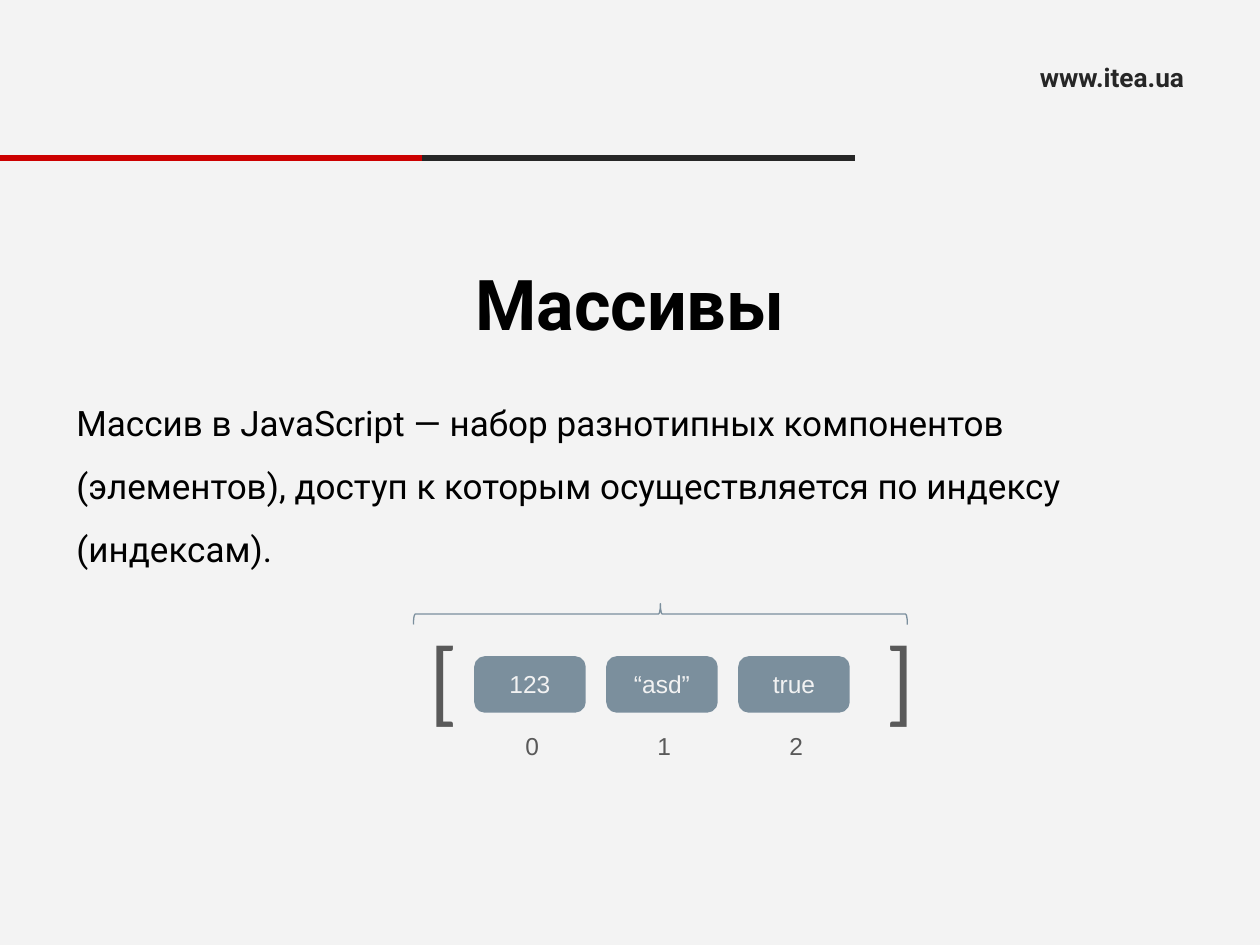
from pptx import Presentation
from pptx.dml.color import RGBColor
from pptx.enum.shapes import MSO_SHAPE as SHAPE
from pptx.enum.text import MSO_ANCHOR as ANCHOR, MSO_AUTO_SIZE as FIT, PP_ALIGN as ALIGN
from pptx.util import Emu, Pt

PX = 914400 // 126
COLORS = {
    "page": "F3F3F3", "black": "000000", "dark": "262626", "red": "CC0000",
    "steel": "7B8F9D", "light": "F2F2F2", "gray": "595959",
}


def color(name):
    return RGBColor.from_string(COLORS[name])


def px(*lengths):
    return [Emu(n * PX) for n in lengths]


class SlideBuilder:
    def __init__(self, slide):
        self.slide = slide

    def style(self, sp, text, size, font, fill, bold=False, align=ALIGN.CENTER):
        tf = sp.text_frame
        tf.text = text
        tf.word_wrap = True
        p = tf.paragraphs[0]
        p.alignment = align
        r = p.runs[0]
        r.font.size, r.font.name, r.font.bold = Pt(size), font, bold
        r.font.color.rgb = color(fill)
        return p

    def title(self, text, *box):
        sp = self.slide.shapes.title
        sp.left, sp.top, sp.width, sp.height = px(*box)
        sp.text_frame.vertical_anchor = ANCHOR.MIDDLE
        self.style(sp, text, 40, "Roboto", "black", bold=True)

    def shape(self, kind, *box, fill=None, line=None, weight=1, parent=None):
        sp = (parent or self.slide).shapes.add_shape(kind, *px(*box))
        sp.shadow.inherit = False
        if fill:
            sp.fill.solid()
            sp.fill.fore_color.rgb = color(fill)
        else:
            sp.fill.background()
        if line:
            sp.line.color.rgb = color(line)
            sp.line.width = Pt(weight)
        else:
            sp.line.fill.background()
        return sp

    def text(self, text, *box, size=14, font="Arial", fill="gray",
             align=ALIGN.CENTER, fit=FIT.SHAPE_TO_FIT_TEXT, parent=None):
        sp = (parent or self.slide).shapes.add_textbox(*px(*box))
        p = self.style(sp, text, size, font, fill, align=align)
        sp.text_frame.auto_size = fit
        return p

    def cell(self, text, x, y):
        group = self.slide.shapes.add_group_shape()
        self.shape(SHAPE.ROUNDED_RECTANGLE, x, y, 108, 53, fill="steel",
                   line="steel", weight=2, parent=group)
        self.text(text, x + 3, y + 5, 102, 43, fill="light", parent=group)


def main():
    prs = Presentation()
    prs.slide_width, prs.slide_height = px(1260, 945)
    s = SlideBuilder(prs.slides.add_slide(prs.slide_layouts[5]))

    # Page background and header
    s.slide.background.fill.solid()
    s.slide.background.fill.fore_color.rgb = color("page")
    site = s.shape(SHAPE.ROUNDED_RECTANGLE, 984, 57, 256, 40)
    site.adjustments[0] = 0
    site.text_frame.vertical_anchor = ANCHOR.MIDDLE
    s.style(site, "www.itea.ua", 15, "Roboto", "dark", bold=True)
    for x, fill in ((422, "dark"), (0, "red")):
        s.shape(SHAPE.RECTANGLE, x, 155, 433 if x else 422, 6, fill=fill)

    # Title and definition
    s.title("Массивы", 63, 252, 1134, 102)
    definition = s.text(
        "Массив в JavaScript — набор разнотипных компонентов (элементов), "
        "доступ к которым осуществляется по индексу (индексам).",
        64, 374, 1118, 503, size=20, font="Roboto", fill="black",
        align=ALIGN.LEFT, fit=FIT.NONE)
    definition.line_spacing = 1.5

    # Array cells with their indexes
    for i, value in enumerate(("123", "“asd”", "true")):
        x = 476 + 132 * i
        s.cell(value, x, 658)
        s.text(str(i), x + 37, 725, 34, 43)

    # Brackets and the brace above them
    for bracket, x in (("[", 417), ("]", 873)):
        s.text(bracket, x, 614, 35, 127, size=54, font="Calibri")
    brace = s.shape(SHAPE.RIGHT_BRACE, 650, 367, 21, 494, line="steel", weight=0.75)
    brace.rotation = 270

    prs.save("out.pptx")


if __name__ == "__main__":
    main()
